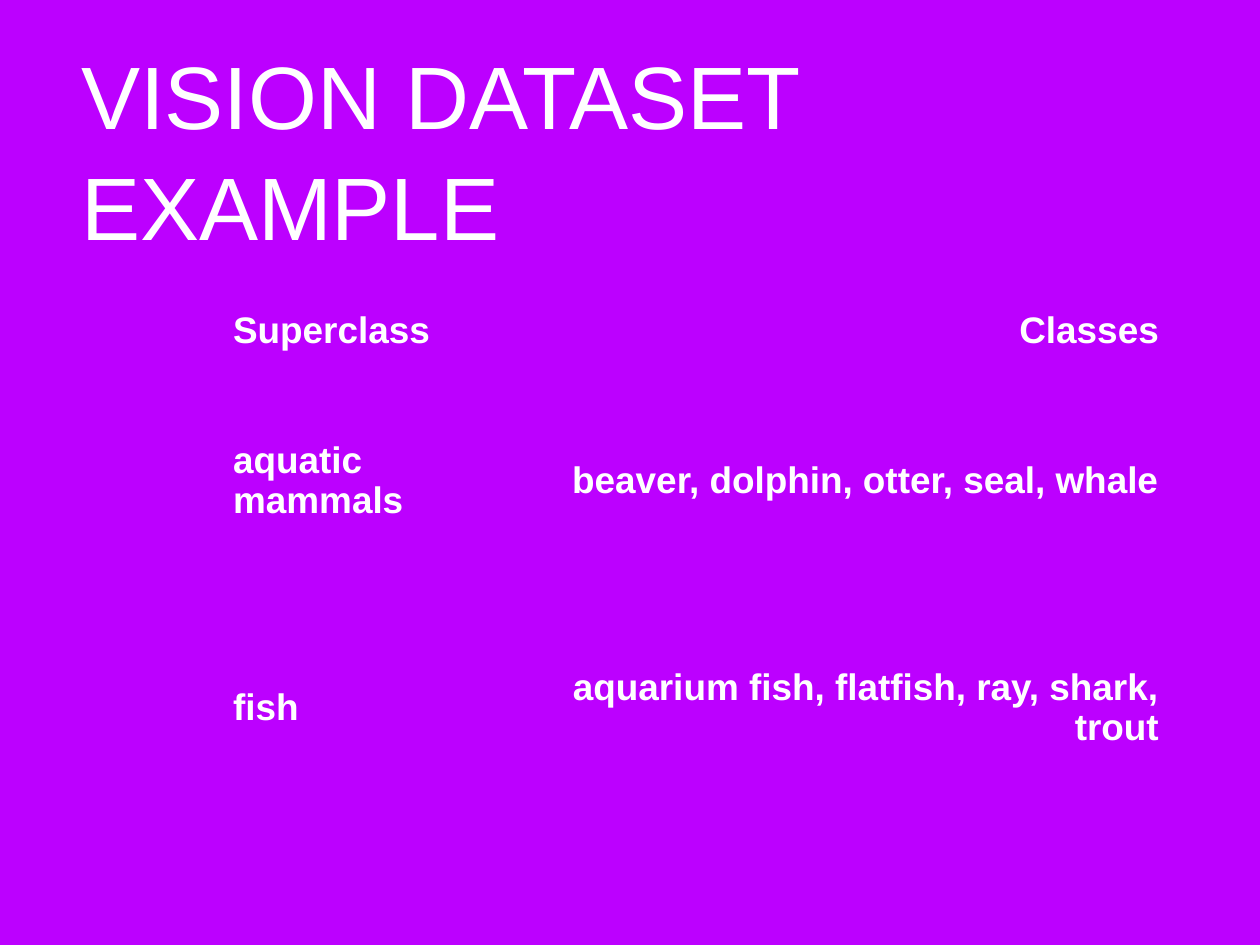
from dataclasses import dataclass

import pptx
import pptx.dml.color
import pptx.enum.text
import pptx.slide
import pptx.text.text
import pptx.util

Pt = pptx.util.Pt
Align = pptx.enum.text.PP_ALIGN
Anchor = pptx.enum.text.MSO_ANCHOR

PURPLE = pptx.dml.color.RGBColor(0xBC, 0x00, 0xFF)
WHITE = pptx.dml.color.RGBColor(0xFF, 0xFF, 0xFF)
FONT = "Arial"
NO_STYLE = "{2D5ABB26-0587-4C30-8999-92F81FD0307C}"


@dataclass(frozen=True)
class Superclass:
    name: str
    classes: str
    height: float


@dataclass(frozen=True)
class Column:
    width: float
    align: Align


ROWS = [
    Superclass("Superclass", "Classes", 60.5),
    Superclass("aquatic mammals", "beaver, dolphin, otter, seal, whale", 184.3),
    Superclass("fish", "aquarium fish, flatfish, ray, shark, trout", 184.3),
]
COLUMNS = [Column(247, Align.LEFT), Column(519.8, Align.RIGHT)]


def write(frame: pptx.text.text.TextFrame, text: str, *, size: float,
          bold: bool = False, align: Align = Align.LEFT, spacing: float = 1.0) -> None:
    para = frame.paragraphs[0]
    para.alignment = align
    para.line_spacing = spacing
    span = para.add_run()
    span.text = text
    span.font.name = FONT
    span.font.size = Pt(size)
    span.font.bold = bold
    span.font.color.rgb = WHITE


def add_title(page: pptx.slide.Slide, text: str) -> None:
    box = page.shapes.add_textbox(Pt(62), Pt(24), Pt(900), Pt(192))
    frame = box.text_frame
    frame.word_wrap = True
    frame.vertical_anchor = Anchor.MIDDLE
    frame.margin_left = frame.margin_right = Pt(4)
    frame.margin_top = frame.margin_bottom = Pt(4)
    write(frame, text, size=72, spacing=1.04)


def add_classes(page: pptx.slide.Slide, rows: list[Superclass]) -> None:
    width = sum(column.width for column in COLUMNS)
    height = sum(row.height for row in rows)
    holder = page.shapes.add_table(len(rows), len(COLUMNS),
                                   Pt(182.2), Pt(239), Pt(width), Pt(height))
    table = holder.table
    table.first_row = table.horz_banding = False
    table._tbl.tblPr.find(pptx.oxml.ns.qn("a:tableStyleId")).text = NO_STYLE
    for index, column in enumerate(COLUMNS):
        table.columns[index].width = Pt(column.width)
    for row_index, row in enumerate(rows):
        table.rows[row_index].height = Pt(row.height)
        for index, text in enumerate((row.name, row.classes)):
            cell = table.cell(row_index, index)
            cell.fill.background()
            cell.vertical_anchor = Anchor.MIDDLE
            write(cell.text_frame, text, size=30, bold=True,
                  align=COLUMNS[index].align, spacing=0.97)


def main() -> None:
    deck = pptx.Presentation()
    deck.slide_width, deck.slide_height = Pt(1024), Pt(768)
    page = deck.slides.add_slide(deck.slide_layouts[6])
    page.background.fill.solid()
    page.background.fill.fore_color.rgb = PURPLE
    add_title(page, "VISION DATASET EXAMPLE")
    add_classes(page, ROWS)
    deck.save("out.pptx")


if __name__ == "__main__":
    main()
